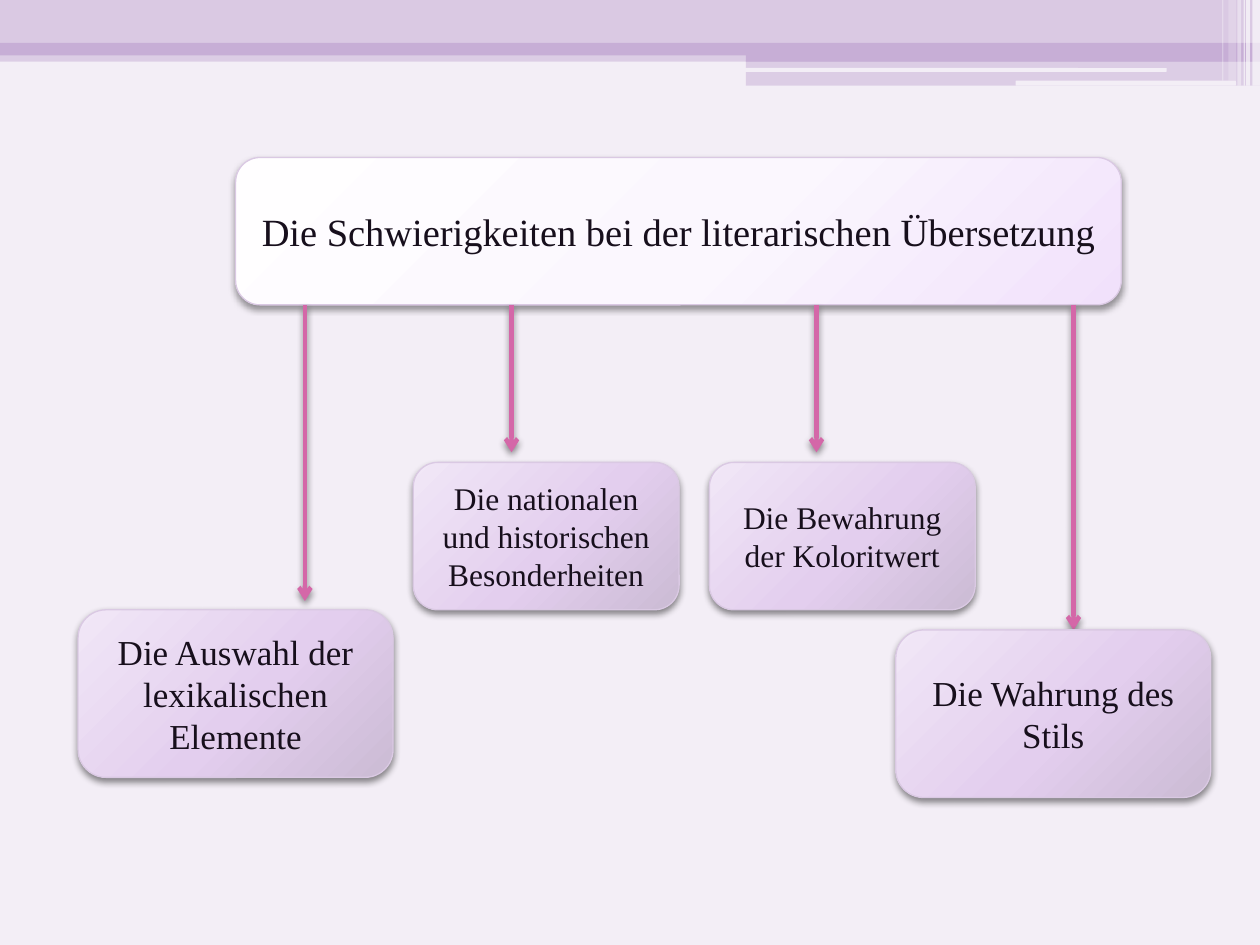
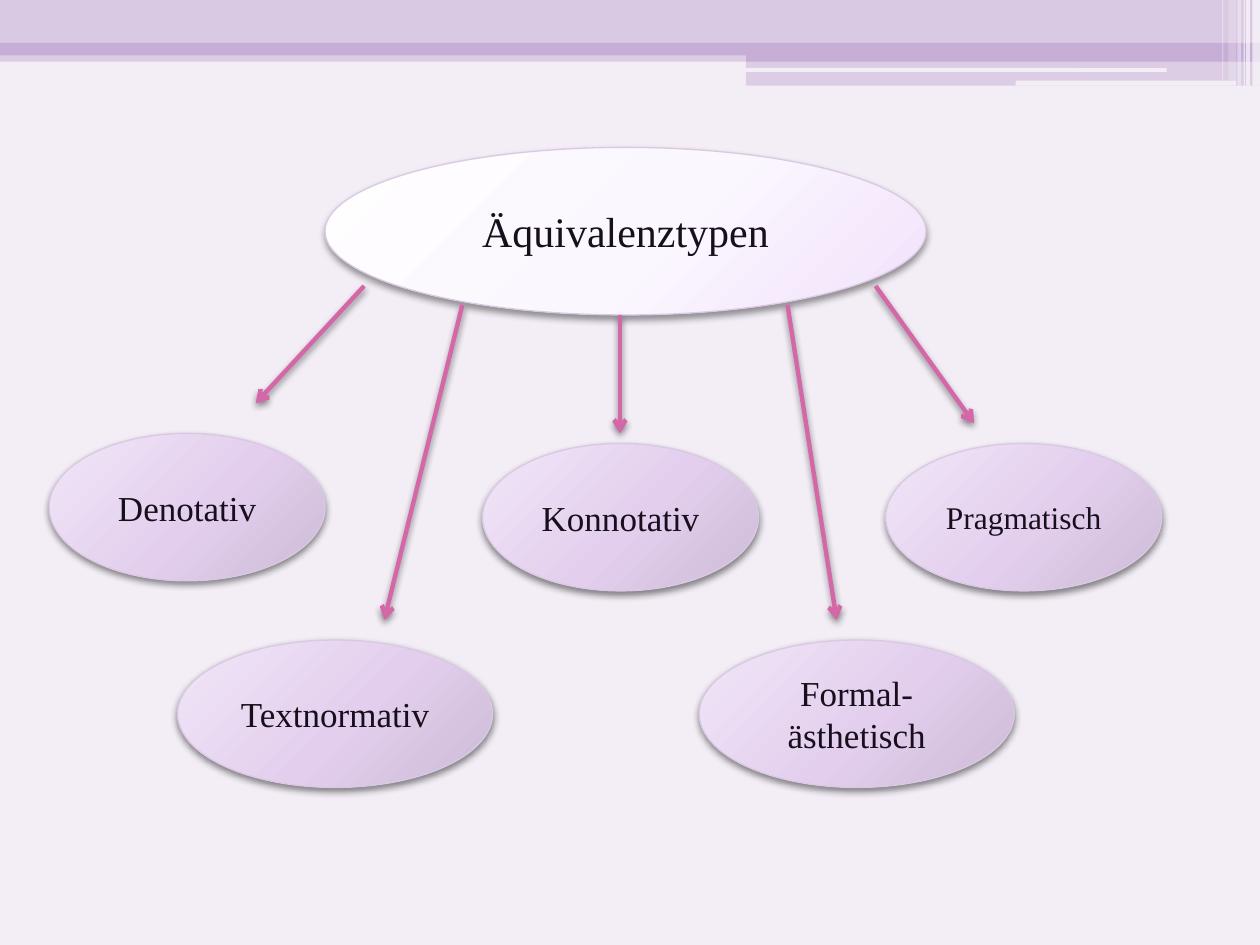
from lxml.etree import SubElement
from pptx import Presentation
from pptx.dml.color import RGBColor
from pptx.enum.shapes import MSO_CONNECTOR, MSO_SHAPE
from pptx.enum.text import MSO_ANCHOR, PP_ALIGN
from pptx.oxml.ns import qn
from pptx.util import Inches, Pt

COLORS = {
    "ground": "F3EEF6",
    "pale": "DAC9E3",
    "lilac": "C7AED6",
    "stripe": "FFFFFF",
    "ink": "170F1C",
    "arrow": "D467A8",
    "shadow": "000000",
}
TOPIC_GRADIENT = {0: "FFFEFF", 55: "FBF7FE", 100: "F1E1FB"}
BRANCH_GRADIENT = {0: "F1E7F7", 55: "E3CEEE", 100: "CBBBD4"}
FONT = "Times New Roman"


def rgb(name):
    """Return the named colour."""
    return RGBColor.from_string(COLORS[name])


def percent(value):
    """Return a percentage in DrawingML units."""
    return str(value * 1000)


def add_shadow(properties, opacity=45):
    """Give shape properties a soft shadow that falls straight down."""
    effects = properties.find(qn("a:effectLst"))
    if effects is None:
        effects = SubElement(properties, qn("a:effectLst"))
    shadow = SubElement(effects, qn("a:outerShdw"), blurRad=str(Pt(4)), dist=str(Pt(2)),
                        dir="5400000", rotWithShape="0")
    tint = SubElement(shadow, qn("a:srgbClr"), val=COLORS["shadow"])
    SubElement(tint, qn("a:alpha"), val=percent(opacity))


def fill_radial(shape, stops):
    """Fill a shape with a radial gradient centred beyond its upper left."""
    shape.fill.gradient()
    gradient = shape.element.spPr.find(qn("a:gradFill"))
    for part in list(gradient):
        gradient.remove(part)
    stop_list = SubElement(gradient, qn("a:gsLst"))
    for position, color in stops.items():
        stop = SubElement(stop_list, qn("a:gs"), pos=percent(position))
        SubElement(stop, qn("a:srgbClr"), val=color)
    circle = SubElement(gradient, qn("a:path"), path="circle")
    SubElement(circle, qn("a:fillToRect"), l=percent(-40), t=percent(-90),
               r=percent(140), b=percent(190))


def add_strip(slide, box, color, opacity=100, kind=MSO_SHAPE.RECTANGLE):
    """Add a plain strip of the header."""
    strip = slide.shapes.add_shape(kind, *map(Inches, box))
    strip.shadow.inherit = False
    strip.fill.solid()
    strip.fill.fore_color.rgb = rgb(color)
    strip.line.fill.background()
    if opacity < 100:
        tint = strip.element.spPr.find(qn("a:solidFill"))[0]
        SubElement(tint, qn("a:alpha"), val=percent(opacity))


def add_header(slide, left, top, width):
    """Draw the layered header band with its stepped corner and stripes."""
    right = left + width
    step_left = right - 4.08
    add_strip(slide, (left, top + 0.4, width, 0.09), "lilac", 50)
    add_strip(slide, (left, top, width, 0.34), "pale")
    add_strip(slide, (left, top + 0.34, width, 0.1), "lilac")
    add_strip(slide, (step_left, top + 0.39, 4.08, 0.1), "lilac")
    add_strip(slide, (step_left, top + 0.48, 4.08, 0.2), "lilac", 50)
    for inset, drop, length, height in ((4.09, 0.54, 3.35, 0.03), (1.94, 0.64, 1.75, 0.04)):
        add_strip(slide, (right - inset, top + drop, length, height), "ground",
                  kind=MSO_SHAPE.ROUNDED_RECTANGLE)
    for inset, thickness, height, opacity in (
        (0.06, 0.06, 0.68, 65),
        (0.11, 0.03, 0.68, 65),
        (0.13, 0.01, 0.68, 60),
        (0.18, 0.03, 0.68, 40),
        (0.25, 0.06, 0.64, 20),
        (0.3, 0.01, 0.64, 30),
    ):
        add_strip(slide, (right - inset, top, thickness, height), "stripe", opacity)


def add_node(slide, kind, box, label, size, gradient, shadow_opacity=45):
    """Add a labelled node of the diagram."""
    node = slide.shapes.add_shape(kind, *map(Inches, box))
    node.shadow.inherit = False
    add_shadow(node.element.spPr, shadow_opacity)
    fill_radial(node, gradient)
    node.line.color.rgb = rgb("pale")
    node.line.width = Pt(0.75)
    frame = node.text_frame
    frame.word_wrap = True
    frame.vertical_anchor = MSO_ANCHOR.MIDDLE
    paragraph = frame.paragraphs[0]
    paragraph.alignment = PP_ALIGN.CENTER
    run = paragraph.add_run()
    run.text = label
    run.font.name = FONT
    run.font.size = Pt(size)
    run.font.color.rgb = rgb("ink")


def add_arrow(slide, start, end):
    """Add a straight arrow between two points."""
    arrow = slide.shapes.add_connector(MSO_CONNECTOR.STRAIGHT, *map(Inches, start + end))
    arrow.line.color.rgb = rgb("arrow")
    arrow.line.width = Pt(2.5)
    properties = arrow.element.spPr
    SubElement(properties.find(qn("a:ln")), qn("a:tailEnd"), type="arrow")
    add_shadow(properties)


def add_diagram(slide, area, kind, topic, arrows, branches):
    """Draw a topic, its arrows and its branches relative to the area."""
    left, top = area[:2]

    def shift(x, y):
        """Move a point into the area."""
        return left + x, top + y

    (x, y, width, height), label, size = topic
    add_node(slide, kind, shift(x, y) + (width, height), label, size, TOPIC_GRADIENT, 40)
    for start, end in arrows:
        add_arrow(slide, shift(*start), shift(*end))
    for (x, y, width, height), label, size in branches:
        add_node(slide, kind, shift(x, y) + (width, height), label, size, BRANCH_GRADIENT)


def add_difficulties(slide, area):
    """Draw the difficulties of literary translation."""
    width = area[2]
    topic_height = 1.17
    topic = ((1.25, 0, 7.03, topic_height),
             "Die Schwierigkeiten bei der literarischen Übersetzung", 22)
    arrows = [((x, topic_height), (x, tip))
              for x, tip in ((3.44, 2.34), (5.86, 2.34), (1.8, 3.52), (7.9, 3.75))]
    branches = [
        ((2.66, 2.42, 2.11, 1.17), "Die nationalen und historischen Besonderheiten", 18),
        ((5.01, 2.42, 2.11, 1.17), "Die Bewahrung der Koloritwert", 18),
        ((0, 3.59, 2.5, 1.33), "Die Auswahl der lexikalischen Elemente", 20),
        ((width - 2.5, 3.75, 2.5, 1.33), "Die Wahrung des Stils", 20),
    ]
    add_diagram(slide, area, MSO_SHAPE.ROUNDED_RECTANGLE, topic, arrows, branches)


def add_equivalence_types(slide, area):
    """Draw the types of equivalence."""
    width, height = area[2:]
    lower_row = height - 1.17
    topic = ((2.19, 0, 4.77, 1.33), "Äquivalenztypen", 24)
    arrows = [
        ((6.56, 1.1), (7.34, 2.19)),
        ((2.5, 1.1), (1.64, 2.03)),
        ((3.28, 1.25), (2.66, 3.75)),
        ((4.53, 1.33), (4.53, 2.27)),
        ((5.86, 1.25), (6.25, 3.75)),
    ]
    branches = [
        ((0, 2.27, 2.19, 1.17), "Denotativ", 20),
        ((3.44, 2.35, 2.19, 1.17), "Konnotativ", 20),
        ((1.02, lower_row, 2.5, 1.17), "Textnormativ", 20),
        ((5.16, lower_row, 2.5, 1.17), "Formal-ästhetisch", 20),
        ((width - 2.19, 2.35, 2.19, 1.17), "Pragmatisch", 18),
    ]
    add_diagram(slide, area, MSO_SHAPE.OVAL, topic, arrows, branches)


def main():
    """Build and save the presentation."""
    presentation = Presentation()
    presentation.slide_width = Inches(10)
    presentation.slide_height = Inches(7.5)
    ground = presentation.slide_master.background.fill
    ground.solid()
    ground.fore_color.rgb = rgb("ground")
    blank_layout = presentation.slide_layouts[6]
    for add_content, area in (
        (add_difficulties, (0.62, 1.25, 8.99, 5.08)),
        (add_equivalence_types, (0.39, 1.17, 8.83, 5.08)),
    ):
        slide = presentation.slides.add_slide(blank_layout)
        add_header(slide, 0, 0, 10)
        add_content(slide, area)
    presentation.save("out.pptx")


if __name__ == "__main__":
    main()
